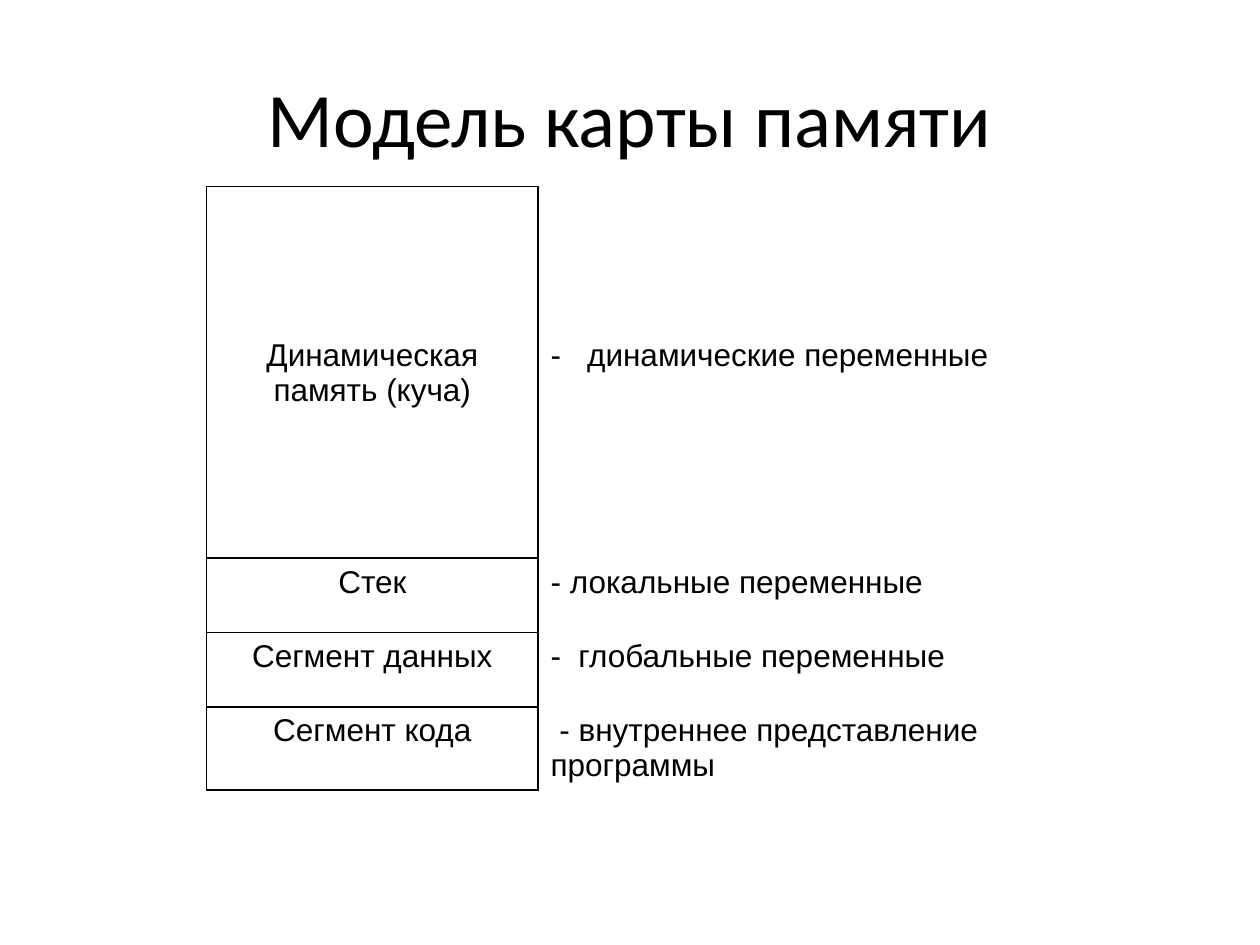
"""Build a slide showing the memory map model as a table."""
import pptx
import pptx.dml.color
import pptx.enum.text
import pptx.oxml.ns
import pptx.util
from lxml import etree

Inches = pptx.util.Inches
Pt = pptx.util.Pt
ALIGN = pptx.enum.text.PP_ALIGN
BLACK = pptx.dml.color.RGBColor(0, 0, 0)

TITLE = "Модель карты памяти"
SEGMENTS = [
    {"name": "Динамическая память (куча)", "note": "-\tдинамические переменные",
     "height": 2.95, "top": 1.2, "tab": 0.29},
    {"name": "Стек", "note": "- локальные переменные", "height": 0.59},
    {"name": "Сегмент данных", "note": "-\tглобальные переменные",
     "height": 0.59, "tab": 0.22},
    {"name": "Сегмент кода", "note": "- внутреннее представление программы",
     "height": 0.59, "indent": 0.07},
]
COLUMN_WIDTHS = [2.63, 4.53]
TABLE_LEFT, TABLE_TOP = 1.64, 1.48
SIDES = ("L", "R", "T", "B")
COLUMN_BORDERS = [SIDES, ("L",)]


def style_font(font, name, size):
    font.name = name
    font.size = Pt(size)
    font.bold = False
    font.color.rgb = BLACK


def set_borders(cell, visible):
    properties = cell._tc.get_or_add_tcPr()
    for position, side in enumerate(SIDES):
        line = etree.Element(pptx.oxml.ns.qn(f"a:ln{side}"), w=str(Pt(1)))
        if side in visible:
            fill = etree.SubElement(line, pptx.oxml.ns.qn("a:solidFill"))
            etree.SubElement(fill, pptx.oxml.ns.qn("a:srgbClr"), val=str(BLACK))
        else:
            etree.SubElement(line, pptx.oxml.ns.qn("a:noFill"))
        properties.insert(position, line)


def fill_cell(cell, text, align, top, borders):
    cell.text_frame.text = text
    cell.margin_top = Inches(top)
    cell.fill.background()
    set_borders(cell, borders)
    paragraph = cell.text_frame.paragraphs[0]
    paragraph.alignment = align
    for span in paragraph.runs:
        style_font(span.font, "Arial", 18)
    return paragraph


def set_offsets(paragraph, segment):
    properties = paragraph._p.get_or_add_pPr()
    if "indent" in segment:
        properties.set("marL", "0")
        properties.set("indent", str(Inches(segment["indent"])))
    if "tab" in segment:
        tabs = etree.SubElement(properties, pptx.oxml.ns.qn("a:tabLst"))
        etree.SubElement(tabs, pptx.oxml.ns.qn("a:tab"),
                         pos=str(Inches(segment["tab"])), algn="l")


def add_title(page):
    title = page.shapes.title
    title.left, title.top = Inches(0.5), Inches(0.3)
    title.width, title.height = Inches(9), Inches(1.25)
    title.text_frame.text = TITLE
    title.text_frame.vertical_anchor = pptx.enum.text.MSO_ANCHOR.MIDDLE
    paragraph = title.text_frame.paragraphs[0]
    paragraph.alignment = ALIGN.CENTER
    style_font(paragraph.runs[0].font, "Calibri", 44)


def add_memory_table(page):
    heights = [segment["height"] for segment in SEGMENTS]
    frame = page.shapes.add_table(
        len(SEGMENTS), len(COLUMN_WIDTHS), Inches(TABLE_LEFT), Inches(TABLE_TOP),
        Inches(sum(COLUMN_WIDTHS)), Inches(sum(heights)))
    table = frame.table
    table.first_row = False
    table.horz_banding = False
    for column, width in zip(table.columns, COLUMN_WIDTHS):
        column.width = Inches(width)
    for row, segment in zip(table.rows, SEGMENTS):
        row.height = Inches(segment["height"])
        name_cell, note_cell = row.cells
        top = segment.get("top", 0.05)
        fill_cell(name_cell, segment["name"], ALIGN.CENTER, top, COLUMN_BORDERS[0])
        note = fill_cell(note_cell, segment["note"], ALIGN.LEFT, top, COLUMN_BORDERS[1])
        set_offsets(note, segment)


def main():
    deck = pptx.Presentation()
    deck.slide_width, deck.slide_height = Inches(10), Inches(7.5)
    page = deck.slides.add_slide(deck.slide_layouts[5])
    add_title(page)
    add_memory_table(page)
    deck.save("out.pptx")


if __name__ == "__main__":
    main()
